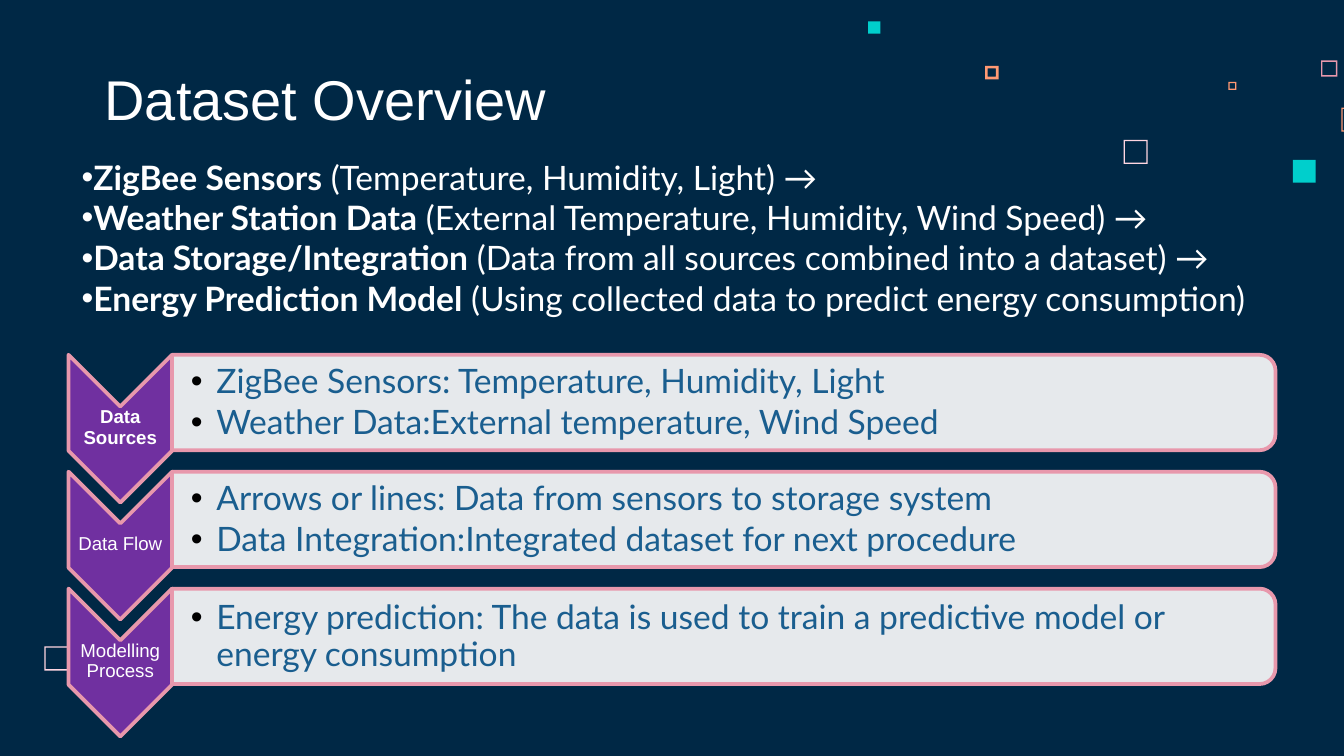
from dataclasses import dataclass
from typing import Optional

from lxml.etree import SubElement
from pptx import Presentation
from pptx.dml.color import RGBColor
from pptx.enum.shapes import MSO_SHAPE
from pptx.enum.text import MSO_ANCHOR, PP_ALIGN
from pptx.oxml.ns import qn
from pptx.util import Inches, Pt

NAVY = RGBColor(0x00, 0x28, 0x45)
WHITE = RGBColor(0xFF, 0xFF, 0xFF)
BLACK = RGBColor(0x00, 0x00, 0x00)
BLUSH = RGBColor(0xFF, 0xD6, 0xE1)
PINK = RGBColor(0xE8, 0x98, 0xAC)
ORANGE = RGBColor(0xFF, 0x99, 0x73)
TEAL = RGBColor(0x00, 0xCF, 0xCC)
PURPLE = RGBColor(0x70, 0x30, 0xA0)
BLUE = RGBColor(0x1A, 0x5E, 0x8F)

SLIDE_WIDTH = Inches(10)
SLIDE_HEIGHT = SLIDE_WIDTH * 9 // 16
STAGE_LEFT, STAGE_TOP, STAGE_PITCH = 0.51, 2.64, 0.87
TAG_WIDTH, TAG_HEIGHT = 0.77, 1.1
PANEL_LEFT, PANEL_WIDTH, PANEL_HEIGHT = 1.28, 8.21, 0.71


@dataclass
class Square:
    left: float
    top: float
    size: float
    color: RGBColor
    hollow: bool = True
    thickness: float = 0.01


@dataclass
class Span:
    text: str
    size: float
    color: RGBColor
    name: str = "Lato"
    bold: bool = False


@dataclass
class ParaStyle:
    bullet_color: Optional[RGBColor] = None
    hanging: float = 0
    line_spacing: Optional[float] = None
    space_after: Optional[float] = None
    alignment: PP_ALIGN = PP_ALIGN.LEFT


@dataclass
class Stage:
    tag: str
    points: list[str]
    bold: bool = False


SQUARES = [
    Square(8.36, 1.04, 0.18, BLUSH),
    Square(9.83, 0.45, 0.12, PINK),
    Square(9.14, 0.61, 0.06, ORANGE),
    Square(9.98, 0.8, 0.18, ORANGE),
    Square(9.62, 1.19, 0.17, TEAL, False),
    Square(7.33, 0.49, 0.1, ORANGE, thickness=0.02),
    Square(6.46, 0.16, 0.09, TEAL, False),
    Square(0.33, 4.81, 0.18, BLUSH),
]

SOURCES = [
    ("ZigBee Sensors", " (Temperature, Humidity, Light) →"),
    ("Weather Station Data", " (External Temperature, Humidity, Wind Speed) →"),
    ("Data Storage/Integration", " (Data from all sources combined into a dataset) →"),
    ("Energy Prediction Model", " (Using collected data to predict energy consumption)"),
]

STAGES = [
    Stage("Data Sources", ["ZigBee Sensors: Temperature, Humidity, Light",
                           "Weather Data:External temperature, Wind Speed"], True),
    Stage("Data Flow", ["Arrows or lines: Data from sensors to storage system",
                        "Data Integration:Integrated dataset for next procedure"]),
    Stage("Modelling Process", ["Energy prediction: The data is used to train a "
                                "predictive model or energy consumption"]),
]


def apply_format(target, values: dict) -> None:
    for name, value in values.items():
        setattr(target, name, value)


def add_filled(page, kind, left: float, top: float, width: float, height: float,
               color: RGBColor):
    shape = page.shapes.add_shape(kind, Inches(left), Inches(top), Inches(width), Inches(height))
    shape.shadow.inherit = False
    shape.fill.solid()
    shape.fill.fore_color.rgb = color
    return shape


def add_square(page, square: Square) -> None:
    kind = MSO_SHAPE.FRAME if square.hollow else MSO_SHAPE.RECTANGLE
    shape = add_filled(page, kind, square.left, square.top, square.size, square.size, square.color)
    shape.line.fill.background()
    if square.hollow:
        shape.adjustments[0] = square.thickness / square.size


def add_upright(page, kind, left: float, top: float, width: float, height: float,
                color: RGBColor):
    shape = add_filled(page, kind, left + (width - height) / 2, top + (height - width) / 2,
                       height, width, color)
    shape.rotation = 90
    shape.line.color.rgb = PINK
    shape.line.width = Pt(2)
    return shape


def add_bullet(para, color: RGBColor, hanging: float) -> None:
    properties = para._p.get_or_add_pPr()
    properties.set("marL", str(Inches(hanging)))
    properties.set("indent", str(-Inches(hanging)))
    bullet_color = SubElement(properties, qn("a:buClr"))
    SubElement(bullet_color, qn("a:srgbClr")).set("val", str(color))
    SubElement(properties, qn("a:buFont")).set("typeface", "Arial")
    SubElement(properties, qn("a:buChar")).set("char", "•")


def add_text(page, left: float, top: float, width: float, height: float,
             paragraphs: list[list[Span]], style: ParaStyle, frame_format: dict) -> None:
    box = page.shapes.add_textbox(Inches(left), Inches(top), Inches(width), Inches(height))
    frame = box.text_frame
    apply_format(frame, {"word_wrap": True, "vertical_anchor": MSO_ANCHOR.MIDDLE, **frame_format})
    for index, spans in enumerate(paragraphs):
        para = frame.add_paragraph() if index else frame.paragraphs[0]
        apply_format(para, {
            "alignment": style.alignment,
            "line_spacing": style.line_spacing,
            "space_after": Pt(style.space_after) if style.space_after else None,
        })
        if style.bullet_color is not None:
            add_bullet(para, style.bullet_color, style.hanging)
        for span in spans:
            run = para.add_run()
            run.text = span.text
            apply_format(run.font, {"name": span.name, "size": Pt(span.size), "bold": span.bold})
            run.font.color.rgb = span.color


def margins(left: float, others: float) -> dict:
    return {"margin_left": Inches(left), "margin_top": Inches(others),
            "margin_right": Inches(others), "margin_bottom": Inches(others)}


def add_stage(page, stage: Stage, top: float) -> None:
    add_upright(page, MSO_SHAPE.CHEVRON, STAGE_LEFT, top, TAG_WIDTH, TAG_HEIGHT, PURPLE)
    add_text(page, STAGE_LEFT, top + 0.38, TAG_WIDTH, 0.33,
             [[Span(stage.tag, 10, WHITE, "Arial", stage.bold)]],
             ParaStyle(line_spacing=0.9, space_after=3.5, alignment=PP_ALIGN.CENTER),
             margins(0.01, 0.01))
    panel = add_upright(page, MSO_SHAPE.ROUND_2_SAME_RECTANGLE, PANEL_LEFT, top,
                        PANEL_WIDTH, PANEL_HEIGHT, WHITE)
    fill_color = panel.fill._xPr.find(qn("a:solidFill"))[0]
    SubElement(fill_color, qn("a:alpha")).set("val", "90000")
    add_text(page, PANEL_LEFT, top + 0.04, 8.17, 0.64,
             [[Span(point, 18, BLUE)] for point in stage.points],
             ParaStyle(BLACK, 0.19, 0.9, 2.7), margins(0.14, 0.01))


def main() -> None:
    deck = Presentation()
    apply_format(deck, {"slide_width": SLIDE_WIDTH, "slide_height": SLIDE_HEIGHT})
    page = deck.slides.add_slide(deck.slide_layouts[6])
    page.background.fill.solid()
    page.background.fill.fore_color.rgb = NAVY
    for square in SQUARES:
        add_square(page, square)
    add_text(page, 0.68, 0.45, 6.44, 0.63, [[Span("Dataset Overview", 30, WHITE, "Arial")]],
             ParaStyle(), {"vertical_anchor": MSO_ANCHOR.BOTTOM, **margins(0.1, 0.1)})
    for index, stage in enumerate(STAGES):
        add_stage(page, stage, STAGE_TOP + index * STAGE_PITCH)
    add_text(page, 0.51, 1.11, 9.53, 1.31,
             [[Span(name, 18, WHITE, bold=True), Span(detail, 18, WHITE)]
              for name, detail in SOURCES],
             ParaStyle(WHITE), {})
    deck.save("out.pptx")


if __name__ == "__main__":
    main()
